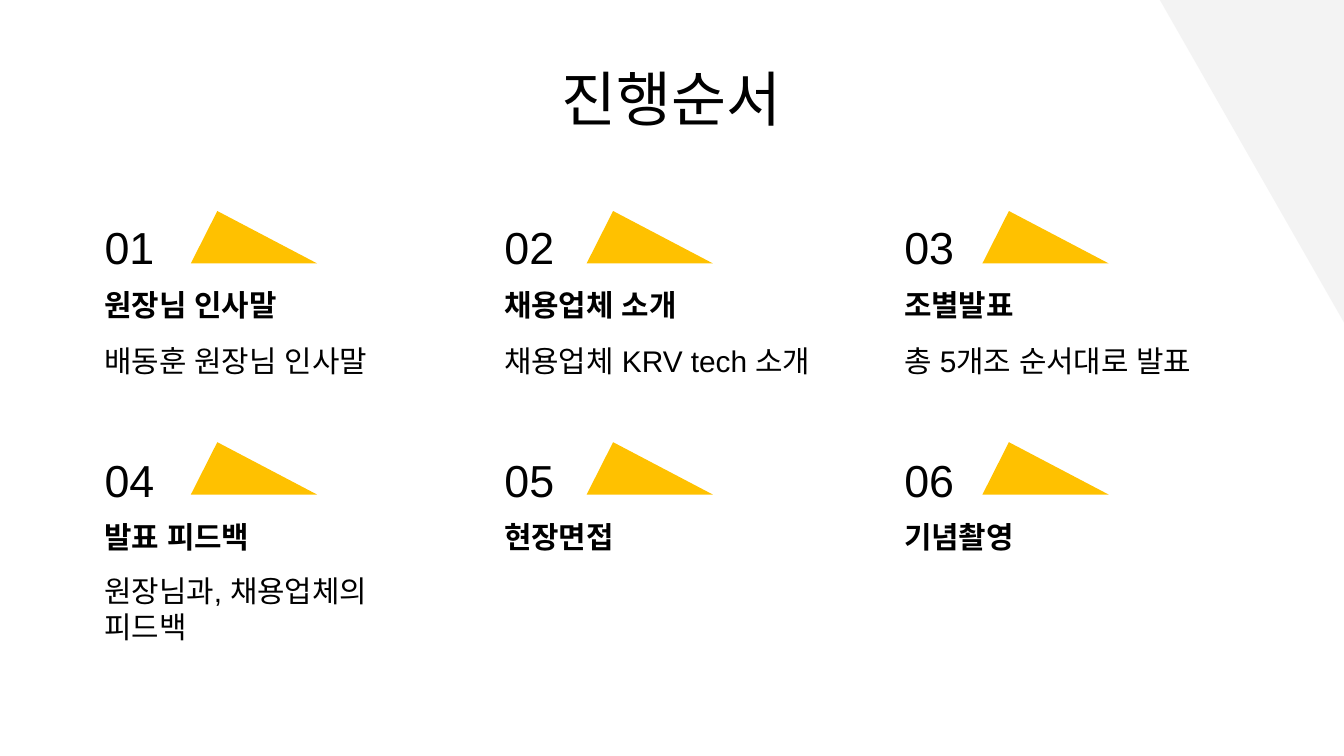
import dataclasses

import lxml.etree
import pptx
import pptx.dml.color
import pptx.enum.shapes
import pptx.enum.text
import pptx.oxml.ns
import pptx.util

Inches = pptx.util.Inches
Anchor = pptx.enum.text.MSO_ANCHOR
Align = pptx.enum.text.PP_ALIGN
ShapeType = pptx.enum.shapes.MSO_SHAPE

COLORS = {"background": "FFFFFF", "text": "000000", "accent": "FFC100", "corner": "F3F3F3"}
FONT = "Arial"
COLUMNS = 3
TEXT_LEFT, TEXT_RIGHTMOST = 0.68, 6.63
MARKER_LEFT, MARKER_RIGHTMOST = 1.42, 7.31
MARKER_ROW_PITCH, TEXT_ROW_PITCH, DETAIL_ROW_PITCH = 1.72, 1.73, 1.71
LINE_HEIGHT = 0.39


@dataclasses.dataclass
class Step:
    heading: str
    details: tuple[str, ...] = ()


STEPS = [
    Step("원장님 인사말", ("배동훈 원장님 인사말",)),
    Step("채용업체 소개", ("채용업체 KRV tech 소개",)),
    Step("조별발표", ("총 5개조 순서대로 발표",)),
    Step("발표 피드백", ("원장님과, 채용업체의", "피드백")),
    Step("현장면접"),
    Step("기념촬영"),
]


def color(name: str) -> pptx.dml.color.RGBColor:
    return pptx.dml.color.RGBColor.from_string(COLORS[name])


def column_left(first: float, last: float, column: int) -> float:
    """Left edge of a column when the columns are evenly spaced."""
    return first + (last - first) * column / (COLUMNS - 1)


def add_run(paragraph, text: str, size: int, bold: bool) -> None:
    run = paragraph.add_run()
    run.text = text
    run.font.name = FONT
    run.font.size = pptx.util.Pt(size)
    run.font.bold = bold
    run.font.color.rgb = color("text")
    properties = run.font._element
    lxml.etree.SubElement(properties, pptx.oxml.ns.qn("a:ea"), typeface=FONT)


def write_text(shape, lines: tuple[str, ...], size: int, bold: bool = False,
               align=Align.LEFT, anchor=Anchor.TOP, space_after: int = 0) -> None:
    frame = shape.text_frame
    frame.word_wrap = True
    frame.auto_size = pptx.enum.text.MSO_AUTO_SIZE.NONE
    frame.vertical_anchor = anchor
    frame.margin_left = frame.margin_right = Inches(0.1)
    frame.margin_top = frame.margin_bottom = Inches(0.1)
    for index, line in enumerate(lines):
        paragraph = frame.add_paragraph() if index else frame.paragraphs[0]
        paragraph.alignment = align
        paragraph.space_after = pptx.util.Pt(space_after)
        add_run(paragraph, line, size, bold)


def add_text(slide, left: float, top: float, width: float,
             lines: tuple[str, ...], size: int, **style) -> None:
    box = slide.shapes.add_textbox(
        Inches(left), Inches(top), Inches(width), Inches(LINE_HEIGHT))
    write_text(box, lines, size, **style)


def add_filled_shape(slide, kind, left: float, top: float,
                     width: float, height: float, fill: str):
    shape = slide.shapes.add_shape(
        kind, Inches(left), Inches(top), Inches(width), Inches(height))
    shape.shadow.inherit = False
    shape.fill.solid()
    shape.fill.fore_color.rgb = color(fill)
    shape.line.fill.background()
    return shape


def add_step(slide, index: int, step: Step) -> None:
    row, column = divmod(index, COLUMNS)
    left = column_left(TEXT_LEFT, TEXT_RIGHTMOST, column)
    offset = row * TEXT_ROW_PITCH
    marker = add_filled_shape(
        slide, ShapeType.ISOSCELES_TRIANGLE,
        column_left(MARKER_LEFT, MARKER_RIGHTMOST, column),
        1.57 + row * MARKER_ROW_PITCH, 0.94, LINE_HEIGHT, "accent")
    marker.adjustments[0] = 0.21
    add_text(slide, left, 1.64 + offset, 1.18, (f"{index + 1:02}",), 24, anchor=Anchor.MIDDLE)
    add_text(slide, left, 2.03 + offset, 2.36, (step.heading,), 16, bold=True, space_after=16)
    if step.details:
        add_text(slide, left, 2.45 + row * DETAIL_ROW_PITCH, 2.84, step.details, 16)


def main() -> None:
    presentation = pptx.Presentation()
    presentation.slide_width = Inches(10)
    presentation.slide_height = Inches(10) * 9 // 16
    slide = presentation.slides.add_slide(presentation.slide_layouts.get_by_name("Title Only"))
    slide.background.fill.solid()
    slide.background.fill.fore_color.rgb = color("background")

    corner = add_filled_shape(slide, ShapeType.RIGHT_TRIANGLE, 8.63, 0, 1.37, 2.4, "corner")
    corner.rotation = 180

    title = slide.shapes.title
    title.left, title.top = Inches(0.57), Inches(0.36)
    title.width, title.height = Inches(8.86), Inches(0.63)
    write_text(title, ("진행순서",), 32, align=Align.CENTER)

    for index, step in enumerate(STEPS):
        add_step(slide, index, step)
    presentation.save("out.pptx")


if __name__ == "__main__":
    main()
